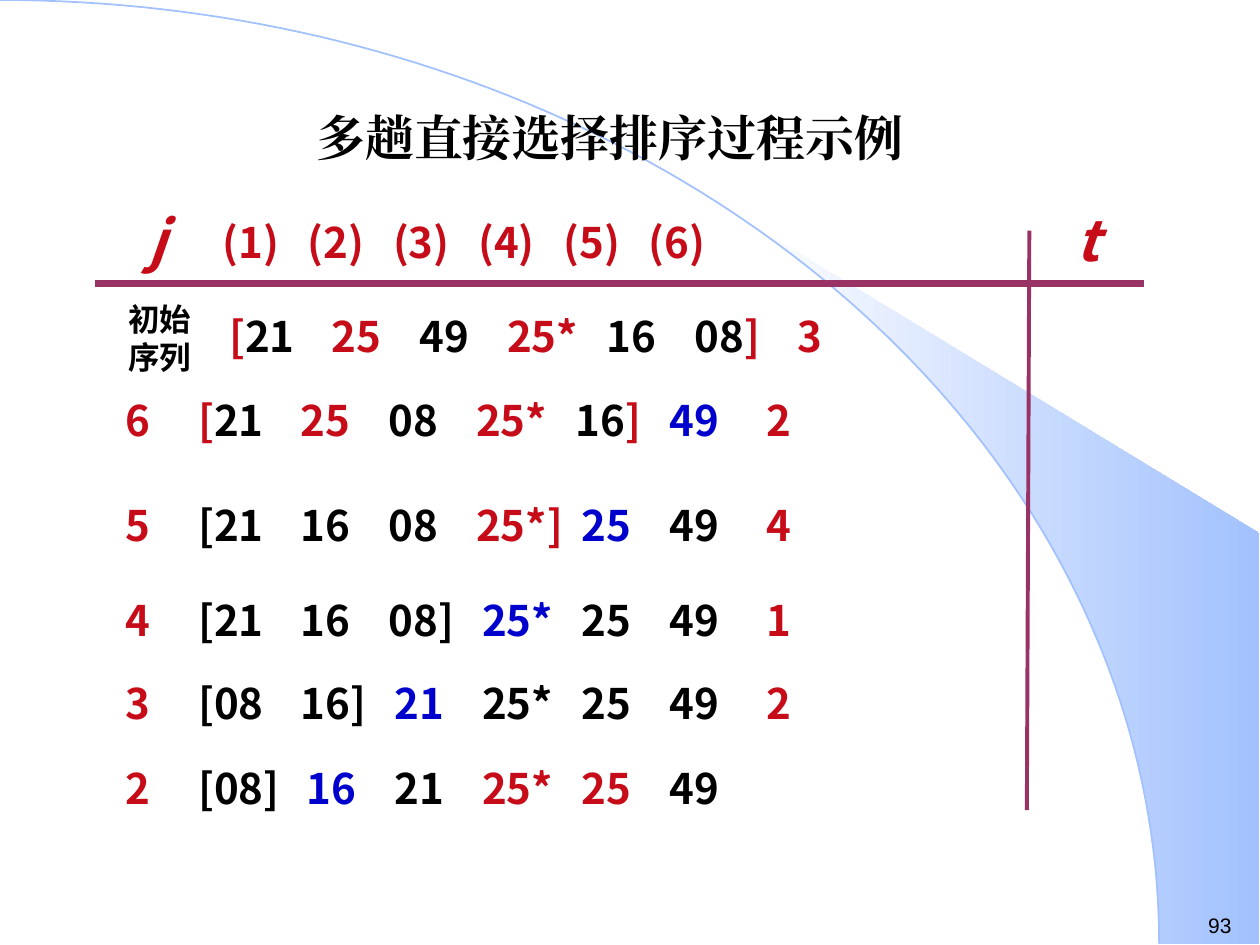
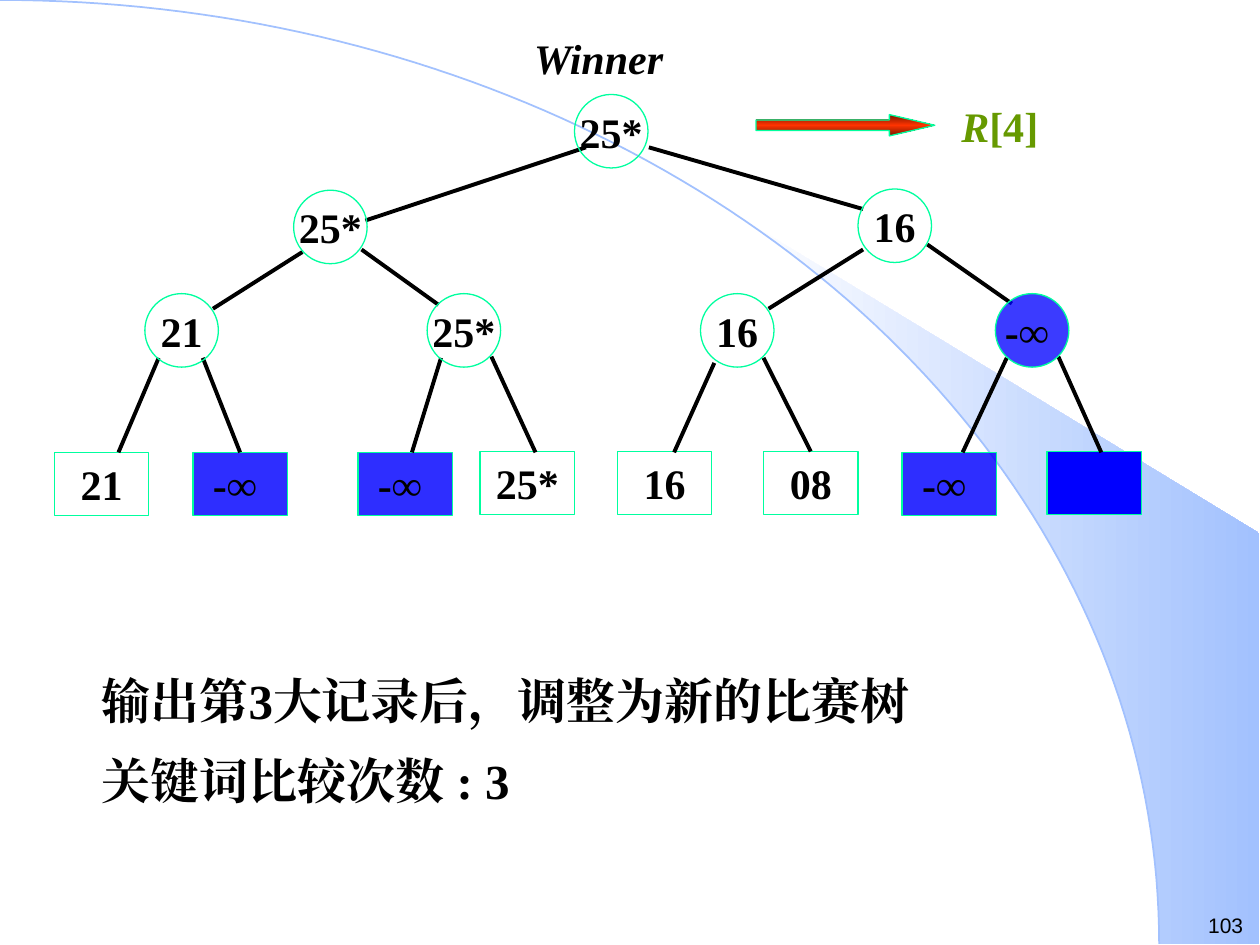
import math
from typing import NamedTuple, Optional, Sequence

from lxml import etree
from pptx import Presentation
from pptx import util as u
from pptx.dml.color import RGBColor
from pptx.enum import shapes, text
from pptx.oxml.ns import qn

Pt = u.Pt
COLORS = {
    "black": "000000", "red": "C60C19", "blue": "0000CC", "plum": "993366",
    "sky": "A2C1FE", "white": "FFFFFF", "mint": "00FF9F", "royal": "0000FF",
    "green": "669900", "rust": "761800", "flame": "FF3300",
}
SANS, SERIF, PLAIN = "Noto Sans CJK SC", "Times New Roman", "Arial"
PAGE_WIDTH, PAGE_HEIGHT = 720, 540
ARC_WIDTH, ARC_HEIGHT = 662.4, 539.3
WEDGE_LEFT, WEDGE_RIGHT, WEDGE_SIDE_TOP = 424, 719.3, 304.6
NODE_SIZE, LEAF_WIDTH, LEAF_HEIGHT, LEAF_TOP = 42, 54, 36, 258
COLUMN_STOPS = [10.8, 52.2, 110.8, 161, 211, 268, 318, 377]
CLOSED_SHIFT = 3.4


class Span(NamedTuple):
    text: str
    color: str = "black"
    italic: bool = False


class Style(NamedTuple):
    font: str
    size: float
    bold: bool = True


class Frame(NamedTuple):
    left: float
    top: float
    width: float
    height: float


class Pass(NamedTuple):
    top: float
    open_count: int
    spans: list[Span]


class Node(NamedTuple):
    left: float
    top: float
    label: str
    opacity: int = 0


class Edge(NamedTuple):
    x1: float
    y1: float
    x2: float
    y2: float
    leaf: Optional[int] = None


TITLE = Style(SERIF, 28)
CELL = Style(SANS, 24)
LETTER = Style(SANS, 32)
CAPTION = Style(SANS, 18)
TREE = Style(SERIF, 24)
NUMBER = Style(PLAIN, 12, False)

PASSES = [
    Pass(221.8, 5, [Span("\t6\t[", "red"), Span("21\t"), Span("25\t", "red"), Span("08\t"),
                    Span("25*\t", "red"), Span("16"), Span("]\t", "red"),
                    Span("49\t", "blue"), Span("2", "red")]),
    Pass(282.2, 4, [Span("\t5\t", "red"), Span("[21\t16\t08\t"), Span("25*]\t", "red"),
                    Span("25\t", "blue"), Span("49\t"), Span("4", "red")]),
    Pass(336.2, 3, [Span("\t4\t", "red"), Span("[21\t16\t08]\t"), Span("25*\t", "blue"),
                    Span("25\t49\t"), Span("1", "red")]),
    Pass(383.8, 2, [Span("\t3\t", "red"), Span("[08\t16]\t"), Span("21\t", "blue"),
                    Span("25*\t25\t49\t"), Span("2", "red")]),
    Pass(432, 1, [Span("\t2\t", "red"), Span("[08]\t"), Span("16\t", "blue"), Span("21\t"),
                  Span("25*\t25\t", "red"), Span("49")]),
]
INITIAL_ROW = [Span("\t[", "red"), Span("21\t"), Span("25\t", "red"), Span("49\t"),
               Span("25*\t", "red"), Span("16\t08"), Span("]\t3", "red")]

NODES = [
    Node(328.3, 54, "25*"), Node(167.8, 108.7, "25*"), Node(490.3, 108, "16"),
    Node(82.8, 167.8, "21"), Node(244.1, 167.8, "25*"),
    Node(400.3, 167.8, "16"), Node(568.8, 167.8, "-∞ ", 77),
]
LEAVES = [
    Node(31, 258.5, "21"), Node(110.2, 258.5, "-∞ ", 82), Node(204.5, 258.5, "-∞ ", 82),
    Node(274.3, LEAF_TOP, "25*"), Node(352.8, LEAF_TOP, "16"), Node(436.3, LEAF_TOP, "08"),
    Node(515.5, 258.5, "-∞ ", 82), Node(598.3, LEAF_TOP, "", 100),
]
EDGES = [
    Edge(370.8, 84.2, 493.2, 119.5), Edge(208.8, 126, 334.8, 84.2),
    Edge(493.2, 142.6, 439.2, 176.4), Edge(206.6, 142.6, 250.6, 174.2),
    Edge(529.9, 139.7, 578.2, 173.5), Edge(172.8, 144, 121.7, 176.4),
    Edge(90.7, 204.5, 67.7, 258.5), Edge(115.9, 204.5, 139, 258.5, 1),
    Edge(252, 204.5, 235.4, 258.5), Edge(280.8, 203.8, 306, 258.5),
    Edge(408.2, 207.4, 385.2, 258.5), Edge(436.3, 204.5, 462.2, 258.5, 5),
    Edge(575.3, 204.5, 550.1, 258.5), Edge(604.8, 203.8, 629.3, 258.5),
]


def rgb(name: str) -> RGBColor:
    return RGBColor.from_string(COLORS[name])


def add_spans(para, spans: Sequence[Span], style: Style) -> None:
    for item in spans:
        span = para.add_run()
        span.text = item.text
        span.font.name = style.font
        span.font.size = Pt(style.size)
        span.font.bold = style.bold
        span.font.italic = item.italic
        span.font.color.rgb = rgb(item.color)
        properties = span._r.get_or_add_rPr()
        properties.set("lang", "zh-CN")
        etree.SubElement(properties, qn("a:ea")).set("typeface", style.font)


def set_tabs(para, stops: Sequence[float]) -> None:
    tabs = etree.SubElement(para._p.get_or_add_pPr(), qn("a:tabLst"))
    for stop in stops:
        etree.SubElement(tabs, qn("a:tab"), pos=str(int(Pt(stop))), algn="l")


def add_text(page, frame: Frame, lines: Sequence[Sequence[Span]], style: Style,
             align=text.PP_ALIGN.LEFT, spacing: Optional[float] = None,
             stops: Sequence[float] = (), wrap: bool = True) -> None:
    box = page.shapes.add_textbox(*map(Pt, frame))
    box.text_frame.word_wrap = wrap
    for index, spans in enumerate(lines):
        para = box.text_frame.add_paragraph() if index else box.text_frame.paragraphs[0]
        para.alignment = align
        if spacing:
            para.line_spacing = spacing
        if stops:
            set_tabs(para, stops)
        add_spans(para, spans, style)


def add_line(page, edge: Edge, color: str, width: float):
    line = page.shapes.add_connector(
        shapes.MSO_CONNECTOR.STRAIGHT, *map(Pt, (edge.x1, edge.y1, edge.x2, edge.y2)))
    line.line.color.rgb = rgb(color)
    line.line.width = Pt(width)
    etree.SubElement(line._element.spPr, qn("a:effectLst"))
    return line


def fill_gradient(shape, colors: Sequence[str], angle: float) -> None:
    shape.fill.gradient()
    shape.fill.gradient_angle = angle
    stops = shape._element.spPr.find(qn("a:gradFill")).find(qn("a:gsLst"))
    for stop in list(stops):
        stops.remove(stop)
    for index, color in enumerate(colors):
        position = 100000 * index // (len(colors) - 1)
        stop = etree.SubElement(stops, qn("a:gs"), pos=str(position))
        etree.SubElement(stop, qn("a:srgbClr"), val=COLORS[color])


def arc_points(start: float, steps: int) -> list[tuple[int, int]]:
    angles = [start + (math.pi / 2 - start) * step / steps for step in range(steps + 1)]
    return [(Pt(ARC_WIDTH * math.sin(angle)), Pt(ARC_HEIGHT * (1 - math.cos(angle))))
            for angle in angles]


def add_outline(page, points: Sequence[tuple[int, int]], close: bool):
    builder = page.shapes.build_freeform(*points[0], scale=1.0)
    builder.add_line_segments(points[1:], close=close)
    outline = builder.convert_to_shape()
    outline.shadow.inherit = False
    return outline


def add_page(deck, number: int):
    page = deck.slides.add_slide(deck.slide_layouts[6])
    corners = [(Pt(WEDGE_RIGHT), Pt(ARC_HEIGHT)), (Pt(WEDGE_RIGHT), Pt(WEDGE_SIDE_TOP))]
    wedge = add_outline(page, arc_points(math.asin(WEDGE_LEFT / ARC_WIDTH), 30) + corners, True)
    fill_gradient(wedge, ["white", "sky"], 0)
    wedge.line.fill.background()
    arc = add_outline(page, arc_points(0, 90), False)
    arc.fill.background()
    arc.line.color.rgb = rgb("sky")
    arc.line.width = Pt(1)
    add_text(page, Frame(683.3, 517.7, 36.7, 21.6), [[Span(str(number))]], NUMBER)
    return page


def add_node(page, kind, node: Node, width: float, height: float):
    shape = page.shapes.add_shape(kind, *map(Pt, (node.left, node.top, width, height)))
    shape.shadow.inherit = False
    shape.line.color.rgb = rgb("mint")
    shape.line.width = Pt(0.75)
    if node.opacity:
        shape.fill.solid()
        shape.fill.fore_color.rgb = rgb("royal")
        color = shape._element.spPr.find(qn("a:solidFill"))[0]
        etree.SubElement(color, qn("a:alpha"), val=str(node.opacity * 1000))
    else:
        shape.fill.background()
    if node.label:
        shape.text_frame.word_wrap = False
        shape.text_frame.vertical_anchor = text.MSO_ANCHOR.MIDDLE
        para = shape.text_frame.paragraphs[0]
        para.alignment = text.PP_ALIGN.CENTER
        add_spans(para, [Span(node.label)], TREE)
    return shape


def build_selection_sort(deck) -> None:
    page = add_page(deck, 93)
    add_text(page, Frame(36.7, 54.7, 623.5, 60.5), [[Span("多趟直接选择排序过程示例")]],
             TITLE, text.PP_ALIGN.CENTER, 1.1)
    headings = "".join(f"\t({column})" for column in range(1, 7))
    add_text(page, Frame(92.9, 120.2, 495.4, 64.8), [[Span(headings, "red")]], CELL,
             stops=[27.2 + 48.7 * column for column in range(6)])
    for left, letter in ((77.8, "j"), (607.7, "t")):
        add_text(page, Frame(left, 113.8, 36, 46), [[Span(letter, "red", True)]], LETTER)
    add_line(page, Edge(54, 162, 653.8, 162), "plum", 4.5)
    add_line(page, Edge(588.2, 131.8, 586.8, 463), "plum", 2.25)
    add_text(page, Frame(66.2, 167.8, 59.8, 50.4), [[Span("初始序列")]], CAPTION)
    add_text(page, Frame(102.2, 174.2, 540, 64.8), [INITIAL_ROW], CELL,
             stops=[stop - 30.4 for stop in COLUMN_STOPS[1:]])
    for row in PASSES:
        stops = [stop + CLOSED_SHIFT if row.open_count < column < 7 else stop
                 for column, stop in enumerate(COLUMN_STOPS)]
        add_text(page, Frame(54, row.top, 594, 64.8), [row.spans], CELL, stops=stops)


def build_winner_tree(deck) -> None:
    page = add_page(deck, 103)
    add_text(page, Frame(51.1, 367.9, 646.6, 106.6),
             [[Span("输出第3大记录后，调整为新的比赛树")], [Span("关键词比较次数 : 3")]],
             TITLE, text.PP_ALIGN.JUSTIFY, 1.35)
    leaves = [add_node(page, shapes.MSO_SHAPE.RECTANGLE, leaf, LEAF_WIDTH, LEAF_HEIGHT)
              for leaf in LEAVES]
    for edge in EDGES:
        line = add_line(page, edge, "black", 2.25)
        if edge.leaf is not None:
            line.end_connect(leaves[edge.leaf], 0)
    for node in NODES:
        add_node(page, shapes.MSO_SHAPE.OVAL, node, NODE_SIZE, NODE_SIZE)
    arrow = add_node(page, shapes.MSO_SHAPE.RIGHT_ARROW, Node(432, 65.5, ""), 102.2, 12.2)
    arrow.adjustments[0], arrow.adjustments[1] = 0.5, 2.13
    fill_gradient(arrow, ["rust", "flame", "rust"], 270)
    add_text(page, Frame(298.1, 15.1, 95, 36), [[Span("Winner", italic=True)]], TREE, wrap=False)
    add_text(page, Frame(542.2, 54, 58.3, 36),
             [[Span("R", "green", True), Span("[4]", "green")]], TREE, wrap=False)


def main() -> None:
    deck = Presentation()
    deck.slide_width, deck.slide_height = Pt(PAGE_WIDTH), Pt(PAGE_HEIGHT)
    build_selection_sort(deck)
    build_winner_tree(deck)
    deck.save("out.pptx")


if __name__ == "__main__":
    main()
